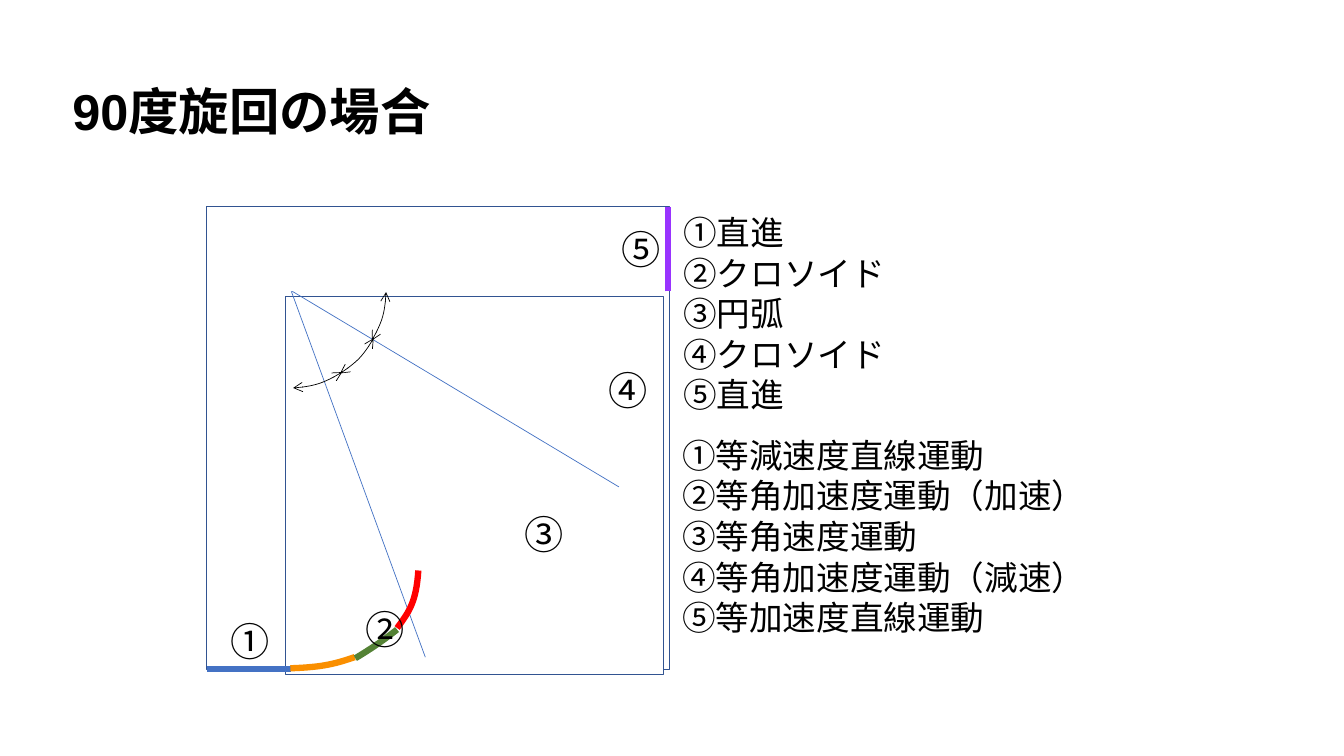
from pptx import Presentation
from pptx.dml.color import RGBColor
from pptx.enum.shapes import MSO_CONNECTOR, MSO_SHAPE
from pptx.enum.text import MSO_AUTO_SIZE
from pptx.oxml.ns import qn
from pptx.util import Pt
from lxml.etree import SubElement

COLORS = {
    "black": "000000", "white": "FFFFFF", "frame": "325491", "blue": "4472C4",
    "orange": "FA8F00", "green": "548235", "red": "FF0000", "purple": "9933FF",
}
CJK_FONT = "Noto Sans CJK JP"

prs = Presentation()
prs.slide_width, prs.slide_height = Pt(960), Pt(540)
s = prs.slides.add_slide(prs.slide_layouts[6])


def add_text(text, left, top, width, height, size=28, font=CJK_FONT, bold=False):
    """Add a text box with one paragraph per line of text."""
    tf = s.shapes.add_textbox(Pt(left), Pt(top), Pt(width), Pt(height)).text_frame
    tf.word_wrap = True
    tf.auto_size = MSO_AUTO_SIZE.SHAPE_TO_FIT_TEXT
    for i, line in enumerate(text.split("\n")):
        p = tf.paragraphs[0] if i == 0 else tf.add_paragraph()
        p.line_spacing = Pt(round(size * 1.21, 1))
        r = p.add_run()
        r.text = line
        r.font.size, r.font.name, r.font.bold = Pt(size), font, bold
        r.font.color.rgb = RGBColor.from_string(COLORS["black"])
        SubElement(r.font._element, qn("a:ea"), typeface=CJK_FONT)


def style_line(sp, color, width):
    sp.line.color.rgb = RGBColor.from_string(COLORS[color])
    sp.line.width = Pt(width)


# Outer and inner square of the course
for left, top, side in [(147.6, 147.6, 330.5), (203.8, 211.7, 270)]:
    sp = s.shapes.add_shape(MSO_SHAPE.RECTANGLE, Pt(left), Pt(top), Pt(side), Pt(side))
    sp.shadow.inherit = False
    sp.fill.solid()
    sp.fill.fore_color.rgb = RGBColor.from_string(COLORS["white"])
    style_line(sp, "frame", 1)

# Straight runs and the two rays from the turning centre
for x1, y1, x2, y2, color, width in [
    (147.6, 478.1, 208.1, 478.1, "blue", 4.5),
    (208.1, 208.1, 303.8, 469.4, "blue", 0.5),
    (208.8, 208.1, 442.1, 347.8, "blue", 0.5),
    (477.4, 208.1, 477.4, 147.6, "purple", 4.5),
]:
    line = s.shapes.add_connector(MSO_CONNECTOR.STRAIGHT, Pt(x1), Pt(y1), Pt(x2), Pt(y2))
    style_line(line, color, width)
    SubElement(line._element.spPr, qn("a:effectLst"))

# Clothoids, drawn from the control points of cubic curves
STEPS = 16
for controls, color in [
    ([(207.4, 477.4), (231.8, 476.6), (240.5, 473.8), (253.4, 469.4)], "orange"),
    ([(298.8, 407.5), (297.4, 429.8), (292.3, 437), (283.7, 448.6)], "red"),
]:
    points = []
    for step in range(STEPS + 1):
        t = step / STEPS
        weights = ((1 - t) ** 3, 3 * t * (1 - t) ** 2, 3 * t * t * (1 - t), t ** 3)
        points.append(tuple(Pt(sum(w * c[axis] for w, c in zip(weights, controls)))
                            for axis in (0, 1)))
    builder = s.shapes.build_freeform(*points[0])
    builder.add_line_segments(points[1:], close=False)
    sp = builder.convert_to_shape()
    sp.shadow.inherit = False
    sp.fill.background()
    style_line(sp, color, 4.5)

# Circular arc of the turn and the three angle arrows
for left, top, side, start, end, color, width in [
    (-151.9, -30.2, 537.8, 31.018, 35.645, "green", 4.5),
    (136.8, 138.2, 139, 34.062, 52.468, "black", 0.5),
    (136.8, 138.2, 139, 17.601, 34.913, "black", 0.5),
    (136.8, 137.5, 139, 0.804, 18.777, "black", 0.5),
]:
    sp = s.shapes.add_shape(MSO_SHAPE.ARC, Pt(left), Pt(top), Pt(side), Pt(side))
    sp.adjustments[0], sp.adjustments[1] = start, end
    sp.shadow.inherit = False
    sp.fill.background()
    style_line(sp, color, width)
    if color == "black":
        for tag in ("a:headEnd", "a:tailEnd"):
            SubElement(sp.line._get_or_add_ln(), qn(tag), type="arrow")

for number, left, top in [
    ("①", 157.7, 437), ("②", 254.2, 428.4), ("③", 367.9, 360.7),
    ("④", 427.7, 257.8), ("⑤", 437, 157),
]:
    add_text(number, left, top, 68.4, 41)

add_text("①直進\n②クロソイド\n③円弧\n④クロソイド\n⑤直進",
         481, 147.6, 238.3, 152.6, size=24)
add_text("①等減速度直線運動\n②等角加速度運動（加速）\n③等角速度運動\n"
         "④等角加速度運動（減速）\n⑤等加速度直線運動",
         480.2, 306.7, 341.3, 152.6, size=24)
add_text("90度旋回の場合", 44.6, 53, 487.4, 51.1, size=36, font="Arial", bold=True)

prs.save("out.pptx")
